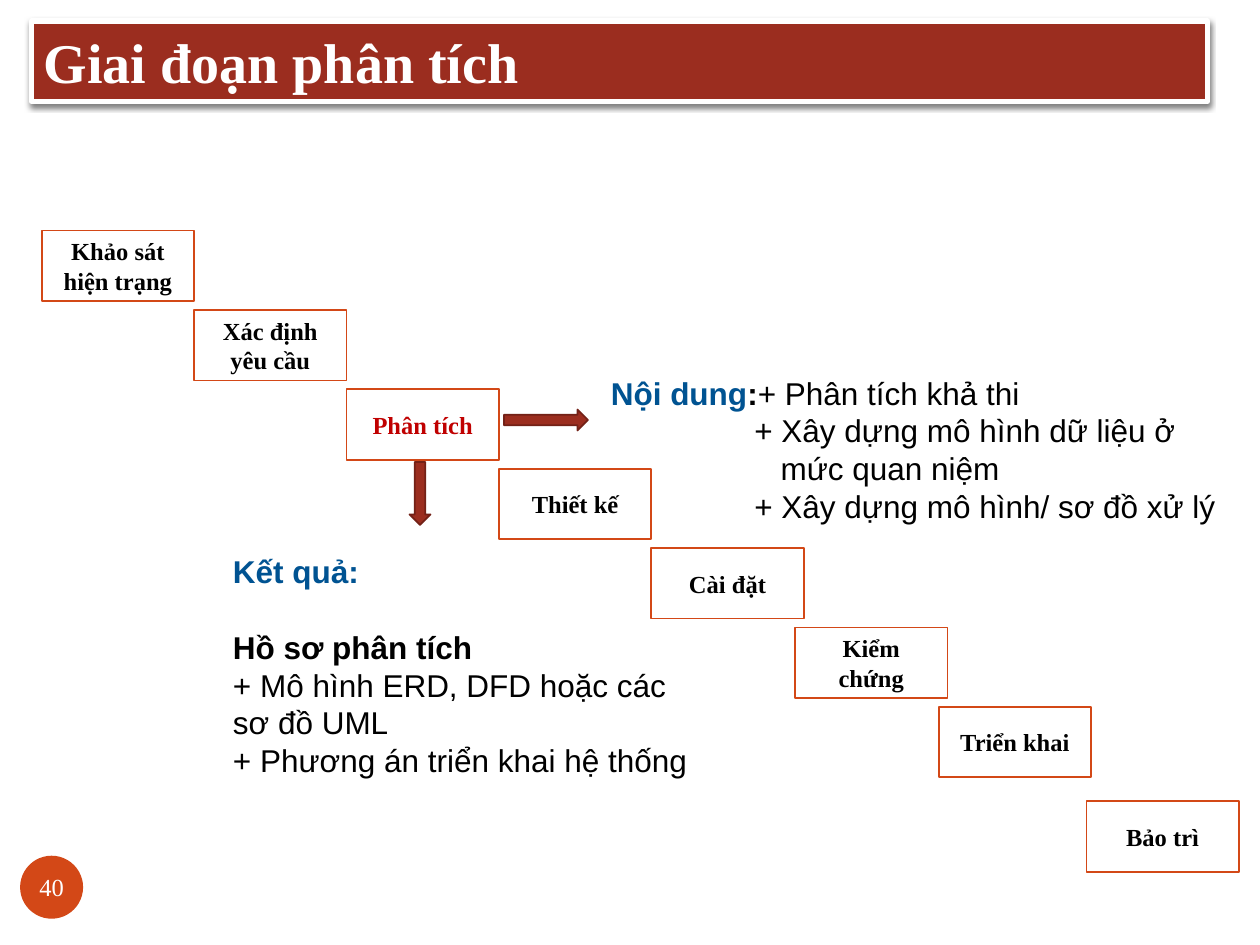
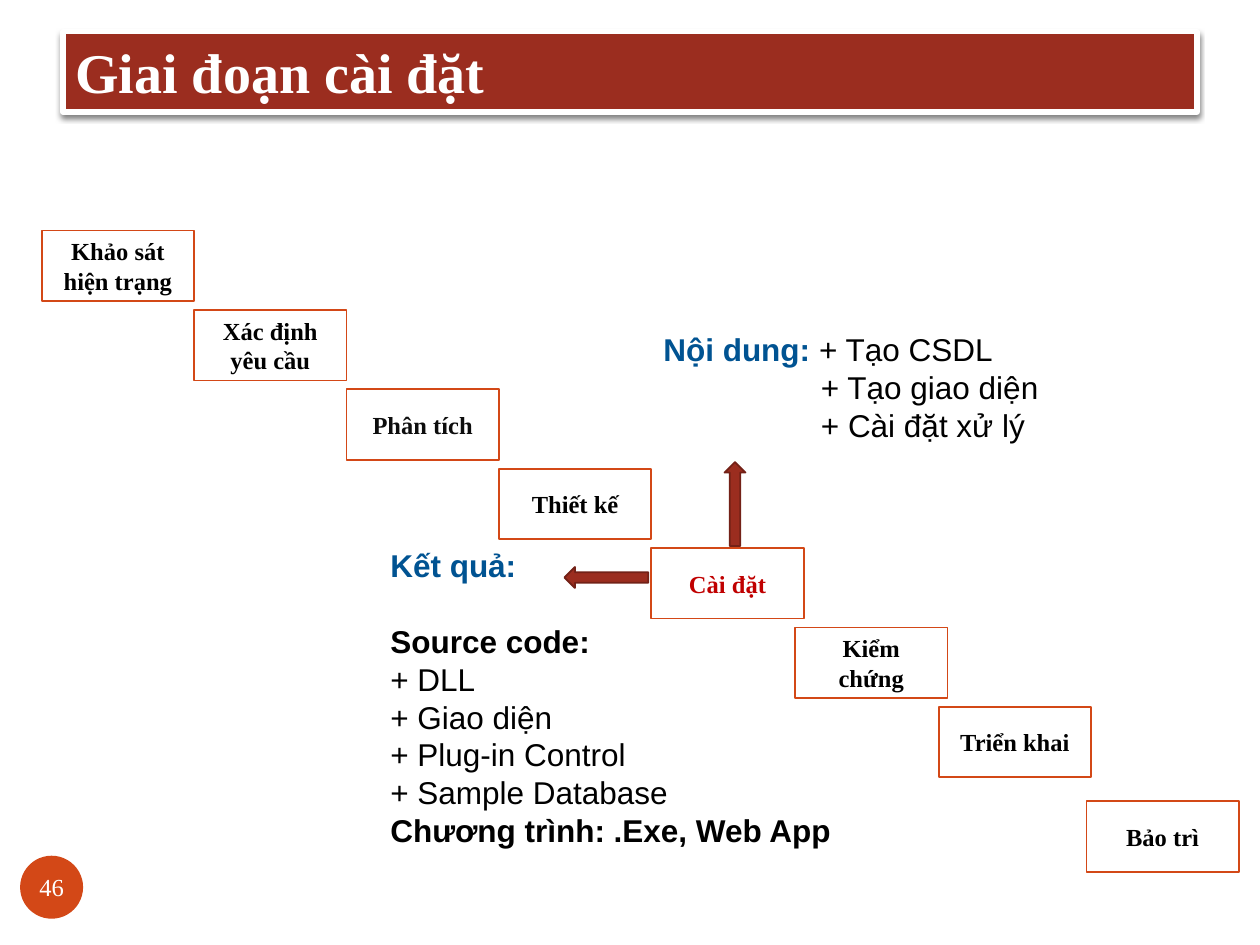
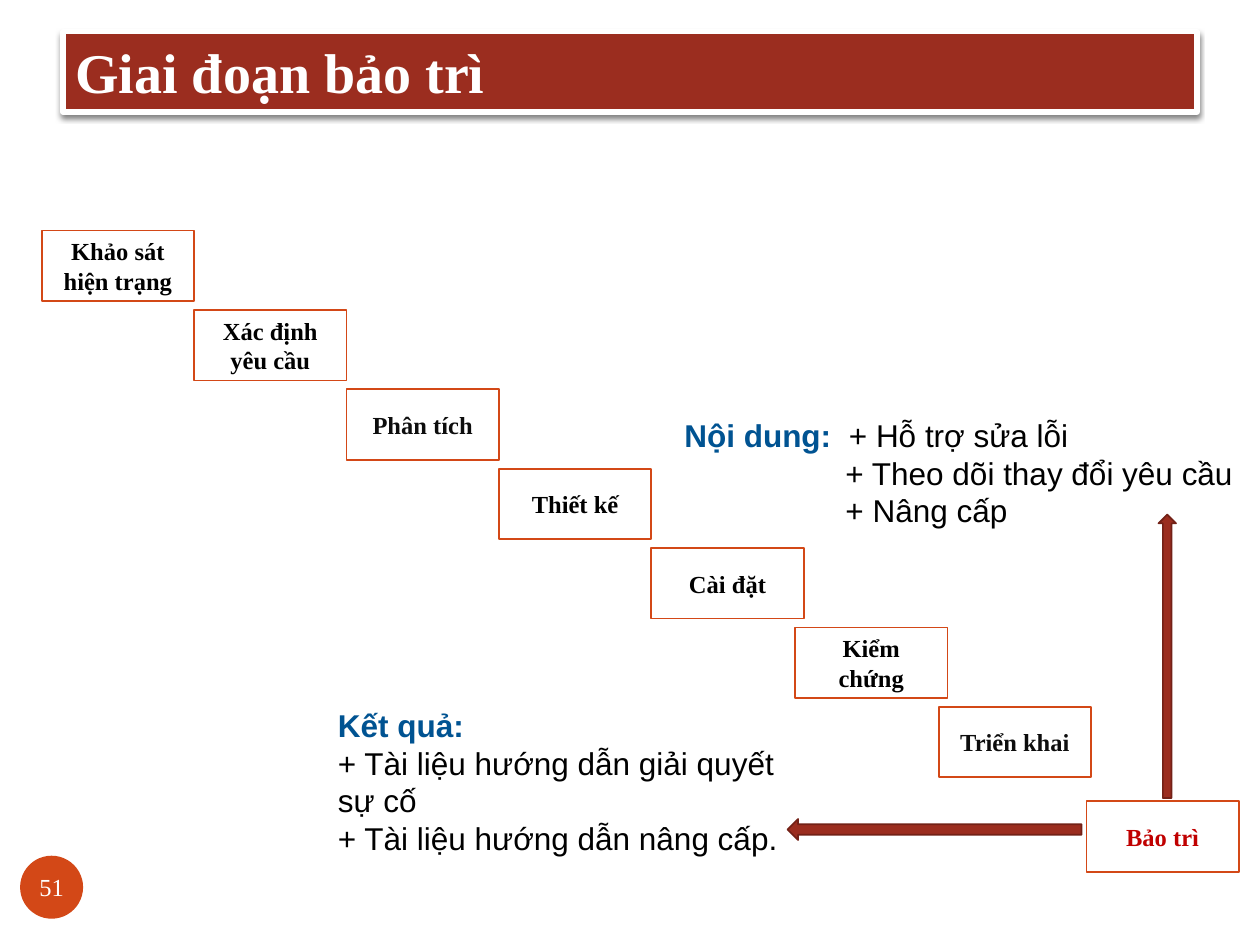
from lxml import etree
from pptx import Presentation
from pptx.dml.color import RGBColor
from pptx.enum import shapes, text
from pptx.oxml import ns
from pptx.util import Pt

HUES = {
    "white": "FFFFFF", "black": "000000", "ink": "0D0D0D", "red": "C00000",
    "blue": "005392", "brick": "9B2D1F", "dark": "732117", "rust": "D34817",
}
SERIF, SANS = "Times New Roman", "Arial"
FORM = shapes.MSO_SHAPE
MID = text.PP_ALIGN.CENTER

# Stages of the waterfall: label, left edge, top edge
LABELS = ["Khảo sát hiện trạng", "Xác định yêu cầu", "Phân tích", "Thiết kế",
          "Cài đặt", "Kiểm chứng", "Triển khai", "Bảo trì"]
LEFTS = [23.8 + 87.1 * i for i in range(5)] + [454.3, 536.4, 620.8]
TOPS = [131.8 + 45.35 * i for i in range(7)] + [457.9]

# A note is its box, then paragraphs of (indent, space before, runs);
# a run is (text, colour, bold)
HEAD = (0, 0, [("Kết quả:", "blue", True)])


def item(words, left=0, bold=False, gap=0):
    return left, gap, [(words, "black", bold)]


PAGES = [
    {
        "title": "Giai đoạn phân tích", "bar": (18, 12, 672), "num": "40",
        "now": "Phân tích", "soft": [],
        "arrows": [(FORM.RIGHT_ARROW, 288, 234, 48, 12, 0),
                   (FORM.DOWN_ARROW, 234, 264, 12, 36, 0)],
        "notes": [
            ((342, 210, 366, 94), [
                (0, 0, [("Nội dung", "blue", True), (":", "black", True),
                        ("+ Phân tích khả thi", "black", False)]),
                item("+ Xây dựng mô hình dữ liệu ở", 82),
                item("mức quan niệm", 97),
                item("+ Xây dựng mô hình/ sơ đồ xử lý", 82)]),
            ((126, 312, 276, 138), [
                HEAD,
                item("Hồ sơ phân tích", bold=True, gap=21.6),
                item("+ Mô hình ERD, DFD hoặc các sơ đồ UML"),
                item("+ Phương án triển khai hệ thống")]),
        ],
    },
    {
        "title": "Giai đoạn cài đặt", "bar": (36, 18, 648), "num": "46",
        "now": "Cài đặt", "soft": ["Phân tích"],
        "arrows": [(FORM.RIGHT_ARROW, 396, 282, 48, 12, 270),
                   (FORM.RIGHT_ARROW, 322.5, 324, 48, 12, 180)],
        "notes": [
            ((372, 185, 312, 73), [
                (0, 0, [("Nội dung: ", "blue", True),
                        ("+ Tạo CSDL", "black", False)]),
                item("+ Tạo giao diện", 90),
                item("+ Cài đặt xử lý", 90)]),
            ((216, 308.7, 282, 225), [
                HEAD,
                item("Source code:", bold=True, gap=21.6),
                item("+ DLL"),
                item("+ Giao diện"),
                item("+ Plug-in Control"),
                item("+ Sample Database"),
                item("Chương trình: .Exe, Web App", bold=True)]),
        ],
    },
    {
        "title": "Giai đoạn bảo trì", "bar": (36, 18, 648), "num": "51",
        "now": "Bảo trì", "soft": ["Phân tích", "Triển khai"],
        "arrows": [(FORM.RIGHT_ARROW, 586, 370, 162, 10, 270),
                   (FORM.RIGHT_ARROW, 450, 468, 168, 12, 180)],
        "notes": [
            ((384, 234, 336, 73), [
                (94, 0, [("Nội dung:", "blue", True),
                         ("\t+ Hỗ trợ sửa lỗi", "black", False)]),
                item("+ Theo dõi thay đổi yêu cầu", 92),
                item("+ Nâng cấp", 92)]),
            ((186, 399.8, 276, 94), [
                HEAD,
                item("+ Tài liệu hướng dẫn giải quyết sự cố"),
                item("+ Tài liệu hướng dẫn nâng cấp.")]),
        ],
    },
]


def draw(page, form, box, fill=None, line=None, wide=1, paras=(), face=SERIF,
         size=14, align=text.PP_ALIGN.LEFT, mid=False):
    """Add a shape, or a text box when form is None, and write its text."""
    box = [Pt(n) for n in box]
    if form is None:
        shape = page.shapes.add_textbox(*box)
    else:
        shape = page.shapes.add_shape(form, *box)
        shape.shadow.inherit = False
        shape.fill.solid()
        shape.fill.fore_color.rgb = RGBColor.from_string(HUES[fill])
        if line:
            shape.line.color.rgb = RGBColor.from_string(HUES[line])
            shape.line.width = Pt(wide)
        else:
            shape.line.fill.background()
    frame = shape.text_frame
    frame.word_wrap = True
    frame.vertical_anchor = text.MSO_ANCHOR.MIDDLE if mid else text.MSO_ANCHOR.TOP
    for i, (left, gap, runs) in enumerate(paras):
        para = frame.add_paragraph() if i else frame.paragraphs[0]
        para.alignment = align
        if gap:
            para.space_before = Pt(gap)
        if left:
            props = para._p.get_or_add_pPr()
            props.set("marL", str(Pt(left)))
            # The first line starts at the edge and tabs to the indent
            props.set("indent", "0" if i else str(-Pt(left)))
            if not i:
                tabs = etree.SubElement(props, ns.qn("a:tabLst"))
                etree.SubElement(tabs, ns.qn("a:tab"), pos=str(Pt(left)), algn="l")
        for words, hue, bold in runs:
            run = para.add_run()
            run.text = words
            run.font.name = face
            run.font.size = Pt(size)
            run.font.bold = bold
            run.font.color.rgb = RGBColor.from_string(HUES[hue])
    return shape


deck = Presentation()
deck.slide_width, deck.slide_height = Pt(720), Pt(540)

for spec in PAGES:
    page = deck.slides.add_slide(deck.slide_layouts[6])

    # Waterfall, with the current stage in red
    for label, x, y in zip(LABELS, LEFTS, TOPS):
        hue = "red" if label == spec["now"] else "black"
        if label in spec["soft"]:
            hue = "ink"
        draw(page, FORM.RECTANGLE, (x, y, 87.1, 40.3), "white", "rust",
             paras=[(0, 0, [(label, hue, True)])], align=MID, mid=True)

    # Arrows to the notes
    for form, x, y, w, h, turn in spec["arrows"]:
        arrow = draw(page, form, (x, y, w, h), "brick", "dark")
        arrow.rotation = turn

    # Contents and results
    for box, paras in spec["notes"]:
        note = draw(page, None, box, paras=paras, face=SANS, size=18)
        note.text_frame.auto_size = text.MSO_AUTO_SIZE.SHAPE_TO_FIT_TEXT

    # Title bar with its shadow
    x, y, w = spec["bar"]
    bar = draw(page, FORM.RECTANGLE, (x, y, w, 46), "brick", "white", 3,
               [(0, 0, [(spec["title"], "white", True)])], size=32)
    bar.text_frame.auto_size = text.MSO_AUTO_SIZE.SHAPE_TO_FIT_TEXT
    glow = etree.SubElement(
        bar._element.spPr.find(ns.qn("a:effectLst")), ns.qn("a:outerShdw"),
        blurRad=str(Pt(3)), dist=str(Pt(2)), dir="5400000", rotWithShape="0")
    tint = etree.SubElement(glow, ns.qn("a:srgbClr"), val=HUES["black"])
    etree.SubElement(tint, ns.qn("a:alpha"), val="50000")

    # Page number
    disc = draw(page, FORM.OVAL, (11.5, 489, 36, 36), "rust",
                paras=[(0, 0, [(spec["num"], "white", False)])],
                align=MID, mid=True)
    frame = disc.text_frame
    frame.word_wrap = False
    frame.margin_left = frame.margin_right = 0
    frame.margin_top = frame.margin_bottom = 0

deck.save("out.pptx")
